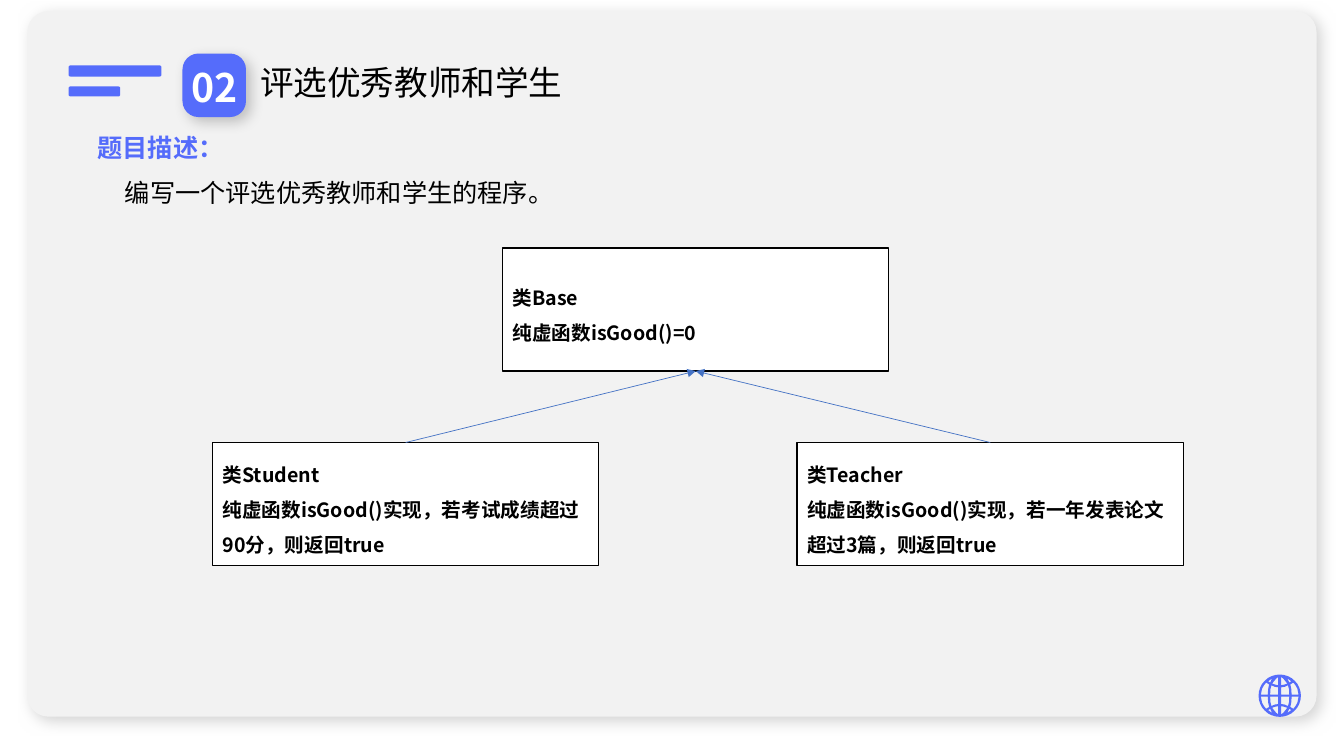
from lxml import etree
from pptx import Presentation
from pptx import util as u
from pptx.dml.color import RGBColor
from pptx.enum import shapes, text
from pptx.oxml.ns import qn

COLOURS = {"panel": "F2F2F2", "panel_shadow": "D4D4D4", "accent": "556CFB",
           "white": "FFFFFF", "black": "000000", "arrow": "4472C4"}
GLOBE_GAPS = [
    [(15, 10), (95, 10), (92, 65), (82, 103), (50, 88), (15, 83)],
    [(15, 104), (45, 110), (75, 120), (62, 137), (35, 170), (15, 185)],
    [(118, 10), (187, 10), (175, 70), (155, 105), (135, 130), (105, 112), (115, 65)],
    [(75, 172), (115, 143), (95, 130)],
]
GLOBE_RIM = [(210, 0), (206, 41), (194, 80), (175, 117), (148, 148),
             (117, 175), (80, 194), (41, 206)]


class SlideBuilder:
    """Draws styled elements on one slide, with lengths in centimetres."""

    font_name = "Noto Sans CJK SC"

    def __init__(self, presentation):
        self.slide = presentation.slides.add_slide(presentation.slide_layouts[5])

    def colour(self, name):
        return RGBColor.from_string(COLOURS[name])

    def set_text(self, shape, lines, size, colour, bold=False, spacing=1.0,
                 align=text.PP_ALIGN.LEFT, anchor=text.MSO_ANCHOR.TOP, wrap=True):
        frame = shape.text_frame
        frame.text = "\n".join(lines)
        frame.auto_size = text.MSO_AUTO_SIZE.NONE
        frame.word_wrap = wrap
        frame.vertical_anchor = anchor
        for paragraph in frame.paragraphs:
            paragraph.alignment = align
            paragraph.line_spacing = spacing
            font = paragraph.font
            font.name = self.font_name
            font.size = u.Pt(size)
            font.bold = bold
            font.color.rgb = self.colour(colour)
            east_asian = etree.SubElement(font._element, qn("a:ea"))
            east_asian.set("typeface", self.font_name)

    def title(self, box, line, size):
        shape = self.slide.shapes.title
        shape.left, shape.top, shape.width, shape.height = map(u.Cm, box)
        self.set_text(shape, [line], size, "black")
        self.slide.shapes._spTree.append(shape._element)

    def label(self, box, line, size, colour, **style):
        shape = self.slide.shapes.add_textbox(*map(u.Cm, box))
        self.set_text(shape, [line], size, colour, **style)

    def paint(self, shape, fill, line=None):
        shape.shadow.inherit = False
        shape.fill.solid()
        shape.fill.fore_color.rgb = self.colour(fill)
        if line:
            shape.line.color.rgb = self.colour(line)
            shape.line.width = u.Pt(1)
        else:
            shape.line.fill.background()

    def rounded(self, box, fill, corner=0.17):
        shape = self.slide.shapes.add_shape(
            shapes.MSO_SHAPE.ROUNDED_RECTANGLE, *map(u.Cm, box))
        shape.adjustments[0] = corner
        self.paint(shape, fill)
        return shape

    def cast_shadow(self, shape, colour, opacity):
        effects = shape._element.spPr.find(qn("a:effectLst"))
        shadow = etree.SubElement(
            effects, qn("a:outerShdw"), blurRad=str(u.Pt(10)), dist=str(u.Pt(5)),
            dir="2700000", algn="tl", rotWithShape="0")
        tint = etree.SubElement(shadow, qn("a:srgbClr"), val=COLOURS[colour])
        etree.SubElement(tint, qn("a:alpha"), val=str(opacity * 1000))

    def class_box(self, left, top, lines):
        shape = self.slide.shapes.add_shape(
            shapes.MSO_SHAPE.RECTANGLE, *map(u.Cm, (left, top, 9.73, 3.1)))
        self.paint(shape, "white", "black")
        self.set_text(shape, lines, 14, "black", bold=True, spacing=1.5,
                      anchor=text.MSO_ANCHOR.MIDDLE)
        return shape

    def inherit_arrow(self, child, parent):
        connector = self.slide.shapes.add_connector(
            shapes.MSO_CONNECTOR.STRAIGHT, 0, 0, 0, 0)
        connector.begin_connect(child, 0)
        connector.end_connect(parent, 2)
        connector.line.color.rgb = self.colour("arrow")
        connector.line.width = u.Pt(0.5)
        properties = connector._element.spPr
        etree.SubElement(properties.find(qn("a:ln")), qn("a:tailEnd"), type="triangle")
        etree.SubElement(properties, qn("a:effectLst"))

    def globe(self, centre_x, centre_y):
        rim = []
        for turn in range(4):
            for x, y in GLOBE_RIM:
                for _ in range(turn):
                    x, y = -y, x
                rim.append((x, y))
        gaps = [[(x * side, y * half) for x, y in gap]
                for gap in GLOBE_GAPS for side in (-1, 1) for half in (-1, 1)]
        builder = self.slide.shapes.build_freeform(*rim[0], scale=u.Inches(1) / 1000)
        builder.add_line_segments(rim[1:], close=True)
        for gap in gaps:
            builder.move_to(*gap[0])
            builder.add_line_segments(gap[1:], close=True)
        radius = u.Inches(GLOBE_RIM[0][0] / 1000)
        shape = builder.convert_to_shape()
        shape.left, shape.top = u.Cm(centre_x) - radius, u.Cm(centre_y) - radius
        self.paint(shape, "accent")


def main():
    presentation = Presentation()
    presentation.slide_width, presentation.slide_height = u.Cm(33.87), u.Cm(19.05)
    builder = SlideBuilder(presentation)

    panel = builder.rounded((0.69, 0.28, 32.49, 17.78), "panel", 0.03)
    builder.cast_shadow(panel, "panel_shadow", 100)
    builder.rounded((1.73, 1.65, 2.34, 0.28), "accent")
    builder.rounded((1.73, 2.18, 1.3, 0.25), "accent")
    builder.label((2.21, 2.84, 30.56, 1.27), "题目描述：", 18, "accent",
                  bold=True, spacing=1.5)
    builder.globe(32.25, 17.53)

    badge = builder.rounded((4.6, 1.35, 1.6, 1.6), "accent", 0.25)
    builder.cast_shadow(badge, "black", 22)
    builder.set_text(badge, ["02"], 28, "white", bold=True, wrap=False,
                     align=text.PP_ALIGN.CENTER, anchor=text.MSO_ANCHOR.MIDDLE)
    badge.text_frame.margin_top, badge.text_frame.margin_bottom = u.Cm(0.1), 0

    builder.label((2.9, 4.34, 23.29, 1.02), "编写一个评选优秀教师和学生的程序。", 18, "black")
    builder.title((6.3, 1.42, 17.91, 1.27), "评选优秀教师和学生", 24)

    base = builder.class_box(12.67, 6.25, ["类Base", "纯虚函数isGood()=0"])
    children = [
        builder.class_box(left, 11.15, [f"类{name}", f"纯虚函数isGood()实现，若{rule}，则返回true"])
        for left, name, rule in [(5.36, "Student", "考试成绩超过90分"),
                                 (20.09, "Teacher", "一年发表论文超过3篇")]]
    for child in children:
        builder.inherit_arrow(child, base)

    presentation.save("out.pptx")


if __name__ == "__main__":
    main()
